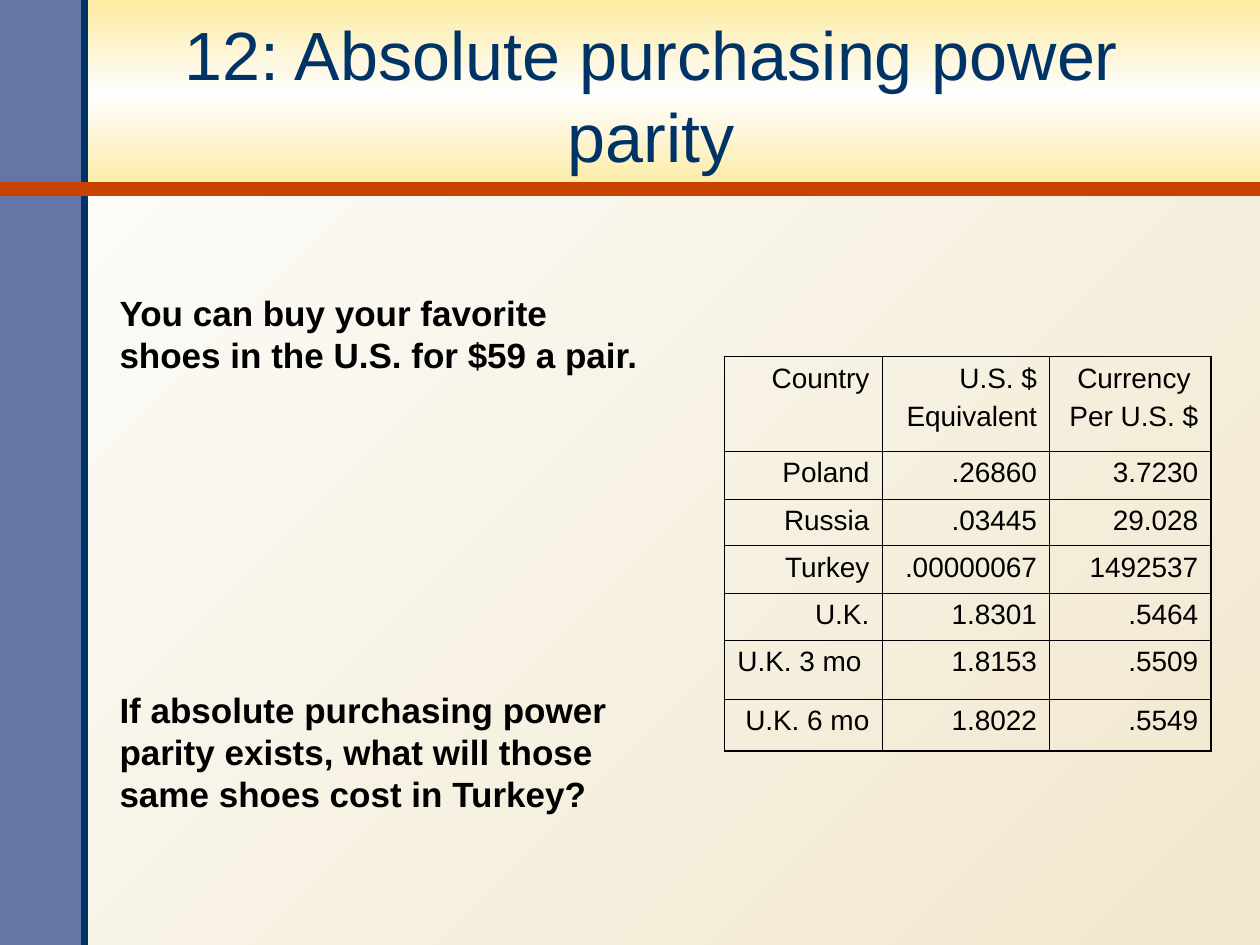
import pptx
import pptx.util
import pptx.dml.color
import pptx.enum.shapes
import pptx.enum.text
import pptx.oxml
import pptx.oxml.ns
from pptx.util import Inches

HUES = {
    "sand": "F1E7CD", "white": "FEFEFE", "gold": "FDEBA1", "slate": "6475A6",
    "navy": "003366", "rust": "C84300", "black": "000000",
}
FONT = "Arial"
ALIGN = pptx.enum.text.PP_ALIGN
RATES = [
    ("Country", "U.S. $\nEquivalent", "Currency \nPer U.S. $"),
    ("Poland", ".26860", "3.7230"),
    ("Russia", ".03445", "29.028"),
    ("Turkey", ".00000067", "1492537"),
    ("U.K.", "1.8301", ".5464"),
    ("U.K. 3 mo ", "1.8153", ".5509"),
    ("U.K. 6 mo", "1.8022", ".5549"),
]
COLS = [1.25, 1.33, 1.28]
ROWS = [0.75, 0.38, 0.37, 0.38, 0.37, 0.47, 0.41]
THIN, THICK = 0.45, 1.08


def color(name):
    return pptx.dml.color.RGBColor.from_string(HUES[name])


def element(xml):
    return pptx.oxml.parse_xml(xml.replace(">", f" {pptx.oxml.ns.nsdecls('a')}>", 1))


def shade(owner, fill, names, angle):
    fill.gradient()
    fill.gradient_angle = 360 - angle
    stops = owner.element.xpath(".//a:gsLst")[0]
    for old in list(stops):
        stops.remove(old)
    for i, name in enumerate(names):
        spot = 100000 * i // (len(names) - 1)
        stops.append(element(
            f'<a:gs pos="{spot}"><a:srgbClr val="{HUES[name]}"/></a:gs>'))


def panel(slide, box):
    rect = pptx.enum.shapes.MSO_SHAPE.RECTANGLE
    shape = slide.shapes.add_shape(rect, *map(Inches, box))
    shape.shadow.inherit = False
    shape.line.fill.background()
    return shape


def rule(slide, ends, name, width):
    kind = pptx.enum.shapes.MSO_CONNECTOR.STRAIGHT
    line = slide.shapes.add_connector(kind, *map(Inches, ends))
    line.line.color.rgb = color(name)
    line.line.width = pptx.util.Pt(width)
    line.element.spPr.append(element("<a:effectLst></a:effectLst>"))


def style(frame, size, name, align, bold=False, gap=0):
    for i, para in enumerate(frame.paragraphs):
        para.alignment = align
        if i:
            para.space_before = pptx.util.Pt(gap)
        for run in para.runs:
            run.font.name = FONT
            run.font.size = pptx.util.Pt(size)
            run.font.bold = bold
            run.font.color.rgb = color(name)


def textbox(slide, box, text):
    frame = slide.shapes.add_textbox(*map(Inches, box)).text_frame
    frame.word_wrap = True
    frame.text = text
    return frame


def backdrop(slide, box):
    left, top, width, height = box
    band, side = 1.5, 0.67
    shade(slide, slide.background.fill, ["sand", "white"], 225)
    head = panel(slide, (left, top, width, band))
    shade(head, head.fill, ["gold", "white", "gold"], 90)
    bar = panel(slide, (left, top, side, height))
    bar.fill.solid()
    bar.fill.fore_color.rgb = color("slate")
    rule(slide, (left + side, top + height, left + side, top), "navy", 4)
    rule(slide, (left, top + band, left + width, top + band), "rust", 8)


def title(slide, box):
    frame = textbox(slide, box, "12: Absolute purchasing power parity")
    frame.vertical_anchor = pptx.enum.text.MSO_ANCHOR.MIDDLE
    style(frame, 39, "navy", ALIGN.CENTER)


def body(slide, box):
    frame = textbox(
        slide, box,
        "You can buy your favorite shoes in the U.S. for $59 a pair.\n"
        "If absolute purchasing power parity exists, "
        "what will those same shoes cost in Turkey?")
    frame.margin_top = Inches(0.5)
    style(frame, 20, "black", ALIGN.LEFT, bold=True, gap=179)


def border(cell, outer):
    props = cell._tc.get_or_add_tcPr()
    for i, side in enumerate("LRTB"):
        width = pptx.util.Pt(THICK if outer[side] else THIN)
        props.insert(i, element(
            f'<a:ln{side} w="{width}"><a:solidFill>'
            f'<a:srgbClr val="{HUES["black"]}"/></a:solidFill></a:ln{side}>'))


def rates(slide, box):
    table = slide.shapes.add_table(len(ROWS), len(COLS), *map(Inches, box)).table
    table.first_row = table.horz_banding = False
    for col, width in zip(table.columns, COLS):
        col.width = Inches(width)
    for r, (row, height) in enumerate(zip(table.rows, ROWS)):
        row.height = Inches(height)
        for c, cell in enumerate(row.cells):
            cell.text_frame.text = RATES[r][c]
            cell.fill.background()
            style(cell.text_frame, 16, "black", ALIGN.RIGHT, gap=4)
            border(cell, {"L": c == 0, "R": c == len(COLS) - 1,
                          "T": r == 0, "B": r == len(ROWS) - 1})


def main():
    deck = pptx.Presentation()
    deck.slide_width, deck.slide_height = Inches(10), Inches(7.5)
    slide = deck.slides.add_slide(deck.slide_layouts[6])
    backdrop(slide, (0, 0, 10, 7.5))
    title(slide, (0.65, 0.15, 9.04, 1.2))
    body(slide, (0.85, 1.81, 4.45, 5.19))
    rates(slide, (5.75, 2.83, sum(COLS), sum(ROWS)))
    deck.save("out.pptx")


if __name__ == "__main__":
    main()
